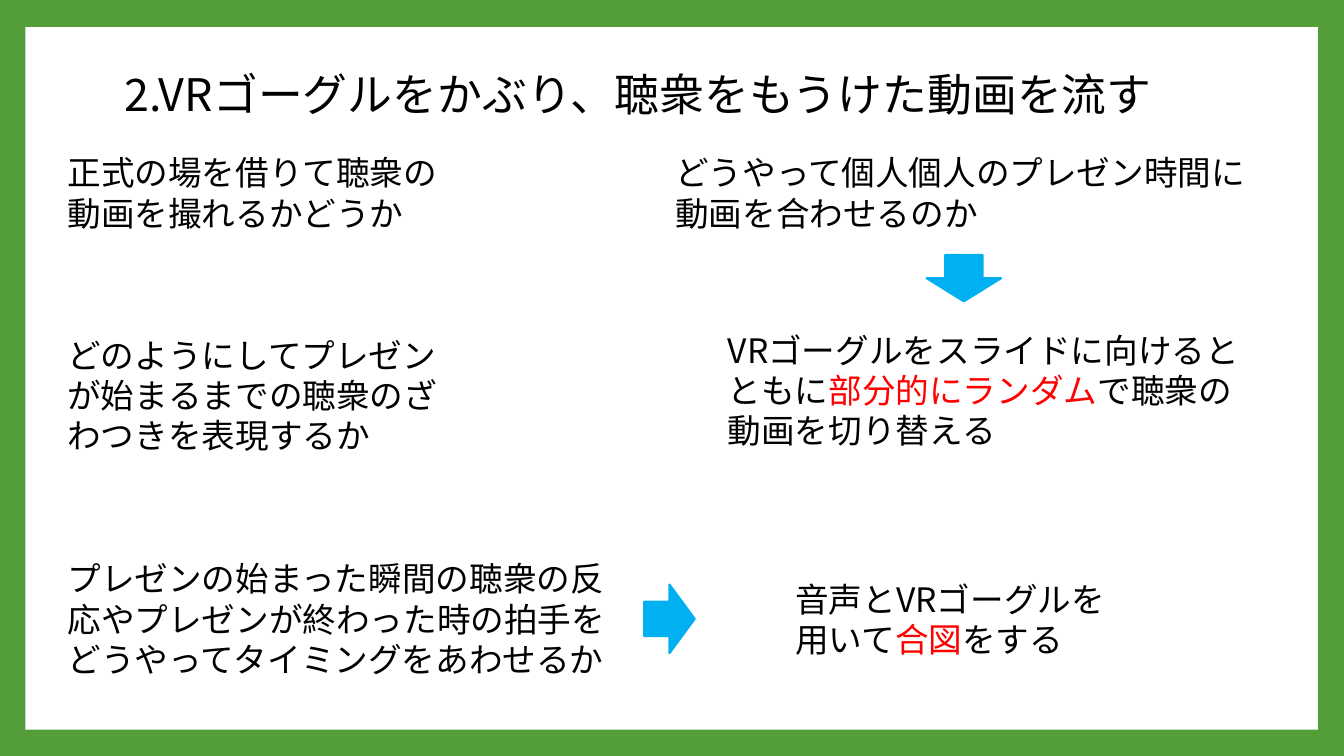
"""Build the slide on showing an audience video through VR goggles."""
from dataclasses import dataclass

from lxml.etree import SubElement
from pptx import Presentation
from pptx.dml.color import RGBColor
from pptx.enum.shapes import MSO_SHAPE as Kind
from pptx.enum.text import MSO_AUTO_SIZE as Fit
from pptx.oxml.ns import qn
from pptx.slide import Slide
from pptx.util import Inches, Pt

GREEN = RGBColor(0x54, 0x9E, 0x39)
WHITE = RGBColor(0xFF, 0xFF, 0xFF)
BLACK = RGBColor(0x00, 0x00, 0x00)
BLUE = RGBColor(0x00, 0xB0, 0xF0)
RED = RGBColor(0xFF, 0x00, 0x00)

FONT = "Noto Sans CJK JP"
WIDE, HIGH = Inches(13.33), Inches(7.5)
COL, ROW = WIDE / 100, HIGH / 100
LEFT, TOP = 4.28, 19.47
TWO, THREE = 12.13, 17.47


@dataclass
class Box:
    """Place in columns and rows, each a hundredth of the slide."""
    col: float
    row: float
    cols: float
    rows: float

    def place(self) -> tuple[int, int, int, int]:
        """Return left, top, width and height."""
        return (round(self.col * COL), round(self.row * ROW),
                round(self.cols * COL), round(self.rows * ROW))


@dataclass
class Note:
    """Text whose every second piece is stressed in red."""
    box: Box
    words: tuple[str, ...]
    size: int = 24


@dataclass
class Block:
    """Filled preset shape with an optional outline."""
    box: Box
    kind: Kind
    fill: RGBColor
    line: float = 0


BLOCKS = [
    Block(Box(1.88, 3.6, 96.17, 92.93), Kind.RECTANGLE, WHITE),
    Block(Box(47.94, 77.33, 3.75, 9.07), Kind.RIGHT_ARROW, BLUE, 1.5),
    Block(Box(68.94, 33.73, 5.55, 6.13), Kind.DOWN_ARROW, BLUE, 1.5),
]

NOTES = [
    Note(Box(8.55, 8.13, 82.45, 8.53),
         ("2.VRゴーグルをかぶり、聴衆をもうけた動画を流す",), 32),
    Note(Box(LEFT, TOP, 30.76, TWO),
         ("正式の場を借りて聴衆の動画を撮れるかどうか",)),
    Note(Box(LEFT, 43.6, 29.56, THREE),
         ("どのようにしてプレゼンが始まるまでの聴衆のざわつきを表現するか",)),
    Note(Box(LEFT, 73.2, 42.61, THREE),
         ("プレゼンの始まった瞬間の聴衆の反応やプレゼンが終わった時の"
          "拍手をどうやってタイミングをあわせるか",)),
    Note(Box(49.51, TOP, 44.41, TWO),
         ("どうやって個人個人のプレゼン時間に動画を合わせるのか",)),
    Note(Box(53.41, 42.93, 40.51, THREE),
         ("VRゴーグルをスライドに向けるとともに", "部分的にランダム",
          "で聴衆の動画を切り替える")),
    Note(Box(58.44, 75.87, 26.56, TWO),
         ("音声とVRゴーグルを用いて", "合図", "をする")),
]


def draw_block(slide: Slide, block: Block) -> None:
    """Draw one filled shape."""
    shape = slide.shapes.add_shape(block.kind, *block.box.place())
    shape.shadow.inherit = False
    shape.fill.solid()
    shape.fill.fore_color.rgb = block.fill
    if block.line:
        shape.line.color.rgb = block.fill
        shape.line.width = Pt(block.line)
    else:
        shape.line.fill.background()


def draw_note(slide: Slide, note: Note) -> None:
    """Draw one text box."""
    frame = slide.shapes.add_textbox(*note.box.place()).text_frame
    frame.word_wrap = True
    frame.auto_size = Fit.SHAPE_TO_FIT_TEXT
    line = frame.paragraphs[0]
    for word in note.words:
        line.add_run().text = word
    for turn, run in enumerate(line.runs):
        run.font.size = Pt(note.size)
        run.font.color.rgb = RED if turn % 2 else BLACK
        run.font.name = FONT
        SubElement(run.font._element, qn("a:ea"), typeface=FONT)


def main() -> None:
    """Build and save the slide."""
    deck = Presentation()
    deck.slide_width, deck.slide_height = WIDE, HIGH
    slide = deck.slides.add_slide(deck.slide_layouts[6])
    slide.background.fill.solid()
    slide.background.fill.fore_color.rgb = GREEN
    for block in BLOCKS:
        draw_block(slide, block)
    for note in NOTES:
        draw_note(slide, note)
    deck.save("out.pptx")


if __name__ == "__main__":
    main()
